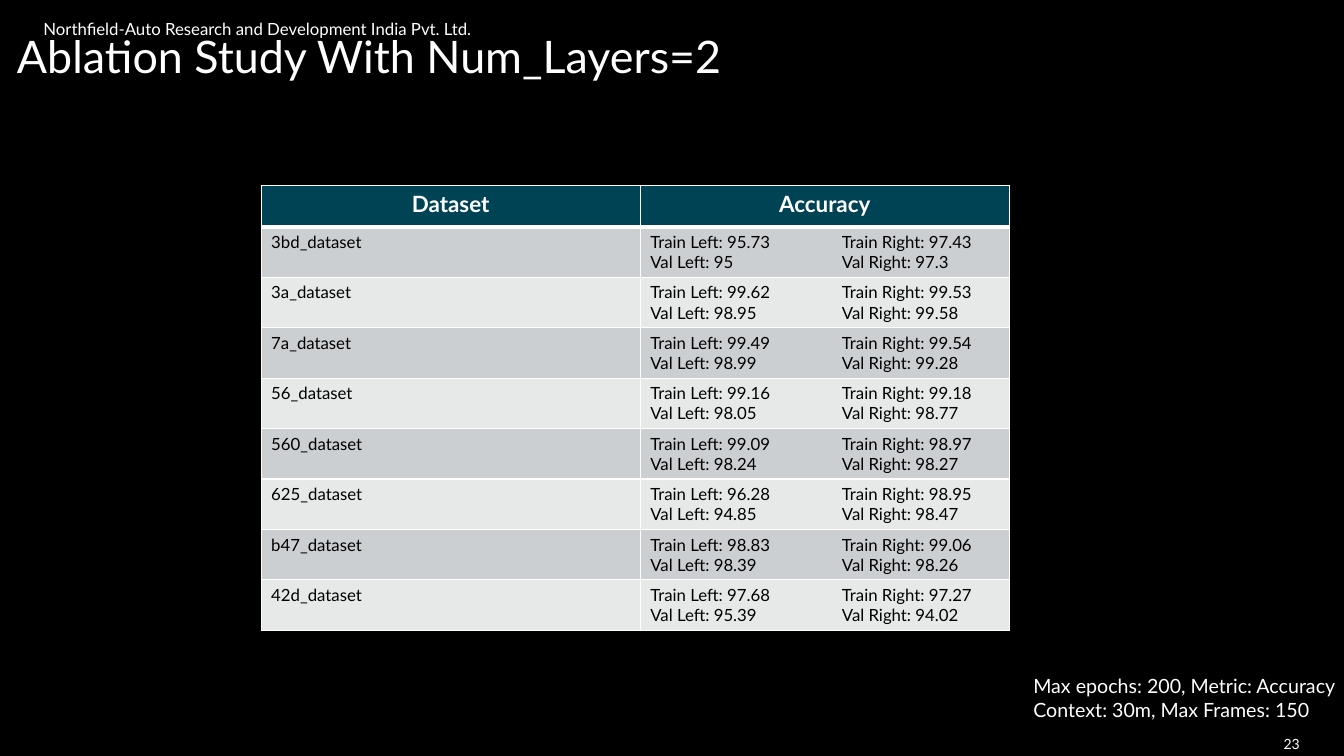
from dataclasses import dataclass

from lxml.etree import SubElement
from pptx import Presentation
from pptx.dml.color import RGBColor
from pptx.enum.text import MSO_ANCHOR, PP_ALIGN
from pptx.oxml.ns import qn
from pptx.util import Inches, Pt


@dataclass(frozen=True)
class Theme:
    font: str = "Lato"
    back: str = "000000"
    light: str = "FFFFFF"
    dark: str = "000000"
    head: str = "004355"
    bands: tuple = ("CCCFD1", "E7E9E9")
    title: int = 32
    label: int = 16
    note: int = 14
    body: int = 12
    page: int = 10


THEME = Theme()

# Dataset, then train left, train right, val left, val right
SCORES = [
    ("3bd_dataset", "95.73", "97.43", "95", "97.3"),
    ("3a_dataset", "99.62", "99.53", "98.95", "99.58"),
    ("7a_dataset", "99.49", "99.54", "98.99", "99.28"),
    ("56_dataset", "99.16", "99.18", "98.05", "98.77"),
    ("560_dataset", "99.09", "98.97", "98.24", "98.27"),
    ("625_dataset", "96.28", "98.95", "94.85", "98.47"),
    ("b47_dataset", "98.83", "99.06", "98.39", "98.26"),
    ("42d_dataset", "97.68", "97.27", "95.39", "94.02"),
]


def style(frame, size, color, bold=False, align=PP_ALIGN.LEFT):
    for para in frame.paragraphs:
        para.alignment = align
        for run in para.runs:
            run.font.name = THEME.font
            run.font.size = Pt(size)
            run.font.bold = bold
            run.font.color.rgb = RGBColor.from_string(color)


def add_text(slide, box, text, size, align=PP_ALIGN.LEFT,
             anchor=MSO_ANCHOR.TOP, pads=(0.1, 0.05, 0.1, 0.05)):
    frame = slide.shapes.add_textbox(*map(Inches, box)).text_frame
    frame.word_wrap = True
    frame.vertical_anchor = anchor
    (frame.margin_left, frame.margin_top,
     frame.margin_right, frame.margin_bottom) = map(Inches, pads)
    frame.text = text
    style(frame, size, THEME.light, align=align)


def set_edges(cell, top=1, base=1):
    props = cell._tc.get_or_add_tcPr()
    for side, width in (("L", 1), ("R", 1), ("T", top), ("B", base)):
        line = SubElement(props, qn(f"a:ln{side}"), w=str(Pt(width)))
        fill = SubElement(line, qn("a:solidFill"))
        SubElement(fill, qn("a:srgbClr"), val=THEME.light)


def set_tab(para, place):
    tabs = SubElement(para._p.get_or_add_pPr(), qn("a:tabLst"))
    SubElement(tabs, qn("a:tab"), pos=str(Inches(place)), algn="l")


def fill_cell(cell, text, fill, size, color, **look):
    cell.fill.solid()
    cell.fill.fore_color.rgb = RGBColor.from_string(fill)
    frame = cell.text_frame
    frame.text = text
    for para in frame.paragraphs:
        if "\t" in para.text:
            set_tab(para, 1.9)
    style(frame, size, color, **look)


def add_scores(slide):
    head, step = 0.41, 0.5
    count = len(SCORES)
    table = slide.shapes.add_table(
        count + 1, 2, Inches(2.59), Inches(1.84),
        Inches(7.42), Inches(head + step * count)).table
    for col, width in zip(table.columns, (3.76, 3.66)):
        col.width = Inches(width)
    for num, row in enumerate(table.rows):
        row.height = Inches(step if num else head)

    # Header row
    for cell, text in zip(table.rows[0].cells, ("Dataset", "Accuracy")):
        set_edges(cell, base=3)
        fill_cell(cell, text, THEME.head, THEME.label, THEME.light,
                  bold=True, align=PP_ALIGN.CENTER)

    # Banded score rows
    for num, (name, *vals) in enumerate(SCORES):
        train_l, train_r, val_l, val_r = vals
        score = (f"Train Left: {train_l}\tTrain Right: {train_r}\n"
                 f"Val Left: {val_l}\tVal Right: {val_r}")
        for cell, text in zip(table.rows[num + 1].cells, (name, score)):
            set_edges(cell, top=1 if num else 3)
            fill_cell(cell, text, THEME.bands[num % 2], THEME.body, THEME.dark)


def main():
    deck = Presentation()
    deck.slide_width, deck.slide_height = Inches(13.33), Inches(7.5)
    slide = deck.slides.add_slide(deck.slide_layouts[6])
    slide.background.fill.solid()
    slide.background.fill.fore_color.rgb = RGBColor.from_string(THEME.back)

    # Company line, page number and title
    add_text(slide, (0.43, 0.17, 6.02, 0.24),
             "Northfield-Auto Research and Development India Pvt. Ltd.",
             THEME.body, anchor=MSO_ANCHOR.MIDDLE, pads=(0, 0.05, 0.1, 0.05))
    add_text(slide, (12.54, 7.22, 0.35, 0.33), "23", THEME.page,
             align=PP_ALIGN.RIGHT, anchor=MSO_ANCHOR.MIDDLE, pads=(0, 0, 0, 0))
    add_text(slide, (0.07, 0.24, 7.8, 0.64),
             "Ablation Study With Num_Layers=2", THEME.title)

    # Results and settings
    add_scores(slide)
    add_text(slide, (10.15, 6.64, 3.18, 0.57),
             "Max epochs: 200, Metric: Accuracy\nContext: 30m, Max Frames: 150",
             THEME.note, pads=(0.1, 0.05, 0, 0.05))
    deck.save("out.pptx")


if __name__ == "__main__":
    main()
